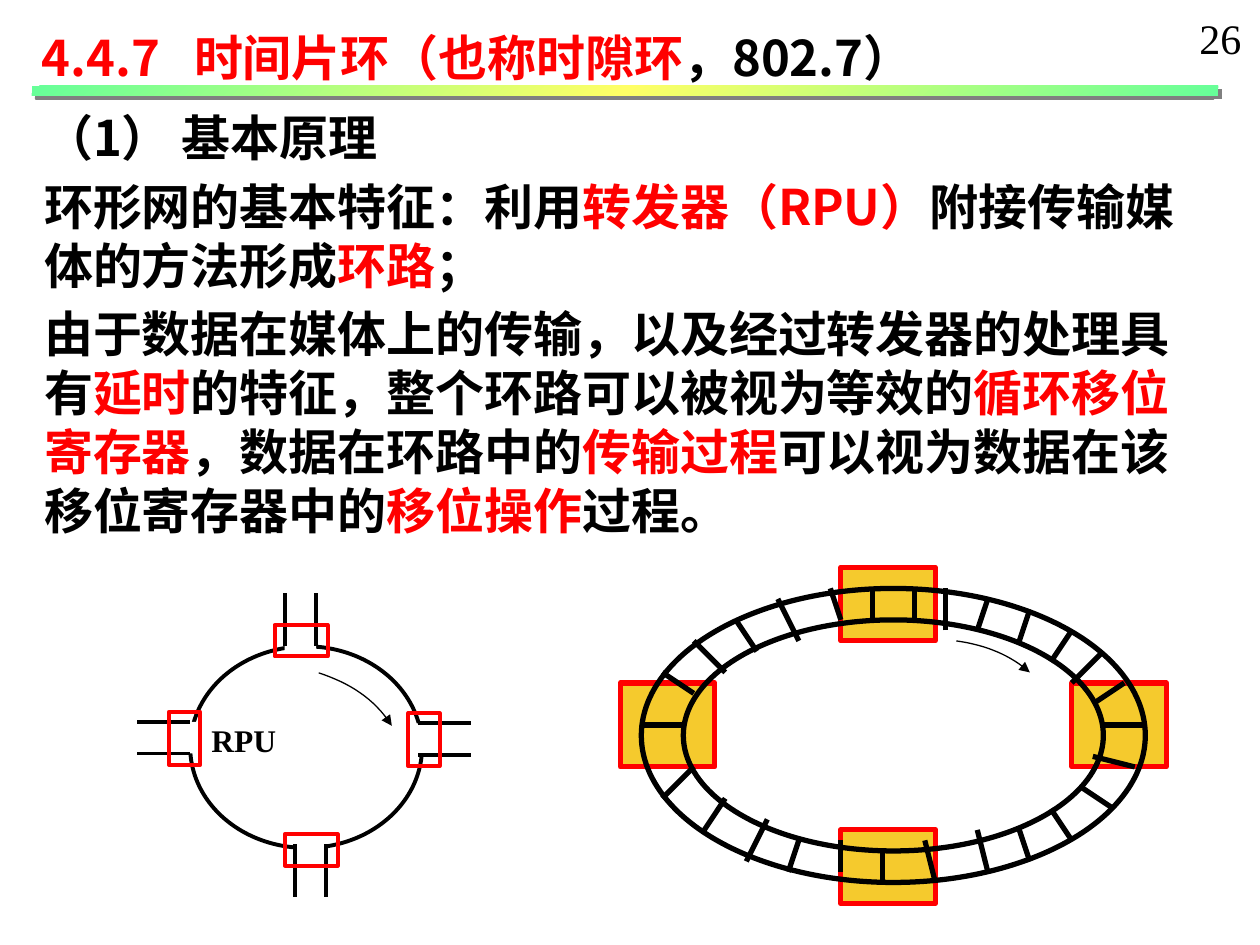
from lxml import etree
from pptx import Presentation
from pptx.dml.color import RGBColor
from pptx.enum.shapes import MSO_CONNECTOR, MSO_SHAPE
from pptx.enum.text import MSO_ANCHOR, MSO_AUTO_SIZE, PP_ALIGN
from pptx.oxml import parse_xml
from pptx.oxml.ns import nsdecls, qn
from pptx.util import Inches, Pt

RECT, OVAL = MSO_SHAPE.RECTANGLE, MSO_SHAPE.OVAL
STRAIGHT = MSO_CONNECTOR.STRAIGHT
TOP, LEFT = MSO_ANCHOR.TOP, PP_ALIGN.LEFT
NO_FIT, FIT_SHAPE = MSO_AUTO_SIZE.NONE, MSO_AUTO_SIZE.SHAPE_TO_FIT_TEXT

BLACK = RGBColor(0x00, 0x00, 0x00)
RED = RGBColor(0xFF, 0x00, 0x00)
WHITE = RGBColor(0xFF, 0xFF, 0xFF)
GOLD = RGBColor(0xF5, 0xCA, 0x2D)
GREEN = RGBColor(0x66, 0xFF, 0x99)
YELLOW = RGBColor(0xFF, 0xFF, 0x66)
GRAY = RGBColor(0x80, 0x80, 0x80)

HEADING_FONT = {"name": "Noto Sans CJK SC", "size": Pt(28), "bold": True}
LABEL_FONT = {"name": "Times New Roman", "size": Pt(18), "bold": True}
NUMBER_FONT = {"name": "Times New Roman", "size": Pt(24), "bold": False}
HEADING_FRAME = {"word_wrap": True, "auto_size": NO_FIT, "vertical_anchor": TOP,
                 "margin_left": Inches(0.1), "margin_right": Inches(0.1),
                 "margin_top": Inches(0.09), "margin_bottom": Inches(0)}
LABEL_FRAME = {"word_wrap": False, "auto_size": FIT_SHAPE}
HEADING_SPACING = {"alignment": LEFT, "line_spacing": Pt(33.7), "space_before": Pt(0)}

TITLE = [("4.4.7\t时间片环（也称时隙环", RED), ("，802.7）", BLACK)]
BODY = [
    [("（1） 基本原理", BLACK)],
    [("环形网的基本特征：利用", BLACK), ("转发器（RPU）", RED),
     ("附接传输媒体的方法形成", BLACK), ("环路", RED), ("；", BLACK)],
    [("由于数据在媒体上的传输，以及经过转发器的处理具有", BLACK), ("延时", RED),
     ("的特征，整个环路可以被视为等效的", BLACK), ("循环移位寄存器", RED),
     ("，数据在环路中的", BLACK), ("传输过程", RED),
     ("可以视为数据在该移位寄存器中的", BLACK), ("移位操作", RED), ("过程。", BLACK)],
]

# Slot ring, in grid steps of 1/12 inch
GRID = 1 / 12
RING_NODES = [(-2, 9, 9, 8), (41, 9, 9, 8), (19, 23, 9, 7), (19, -2, 9, 7)]
RING_OVALS = [(0, 0, 48, 28), (4, 3, 40, 22)]
SLOT_MARKS = [
    (22, 0, 22, 3), (26, 3, 26, 0), (29, 4, 29, 0), (32, 4, 33, 1), (36, 5, 37, 2),
    (39, 7, 41, 4), (44, 6, 41, 9), (46, 9, 43, 11), (44, 13, 48, 13), (43, 16, 47, 17),
    (42, 19, 45, 21), (39, 21, 41, 24), (36, 23, 37, 26), (32, 23, 33, 27),
    (27, 24, 28, 28), (23, 25, 23, 28), (19, 27, 19, 24), (14, 27, 15, 24),
    (12, 22, 10, 26), (8, 20, 6, 23), (5, 17, 2, 20), (0, 13, 4, 13), (2, 8, 5, 10),
    (5, 5, 8, 8), (9, 3, 11, 6), (13, 1, 15, 5), (18, 0, 19, 3),
]
SLOT_ARROW = [(30, 5), (32.9, 5.4), (35.2, 6.4), (37, 8)]

# Repeater ring, in inches: gap corner, start of leads, whether leads run across
GAP, LEAD, OVERHANG = 0.25, 0.42, 0.08
REPEATERS = [(0.25, 1.02, 0, True), (2.15, 1.03, 2.23, True),
             (1.25, 1.91, 1.99, False), (1.17, 0.25, 0, False)]
REPEATER_ARROW = [(1.44, 0.63), (1.68, 0.71), (1.88, 0.83), (2.02, 1.05)]


def apply(target, values):
    for key, value in values.items():
        setattr(target, key, value)


def write_runs(paragraph, runs, font):
    for text, color in runs:
        run = paragraph.add_run()
        run.text = text
        apply(run.font, font)
        run.font.color.rgb = color
        east_asian = etree.SubElement(run.font._element, qn("a:ea"))
        east_asian.set("typeface", font["name"])


def place(shape, box):
    apply(shape, dict(zip(("left", "top", "width", "height"), map(Inches, box))))


def set_line(shape, color, width):
    shape.line.color.rgb = color
    shape.line.width = Pt(width)


def add_block(shapes, kind, box, fill=None, line=None, width=3):
    block = shapes.add_shape(kind, *map(Inches, box))
    block.shadow.inherit = False
    if fill is None:
        block.fill.background()
    else:
        block.fill.solid()
        block.fill.fore_color.rgb = fill
    if line is None:
        block.line.fill.background()
    else:
        set_line(block, line, width)
    return block


def add_stroke(shapes, ends, width):
    stroke = shapes.add_connector(STRAIGHT, *map(Inches, ends))
    set_line(stroke, BLACK, width)
    etree.SubElement(stroke._element.spPr, qn("a:effectLst"))


def add_curved_arrow(shapes, controls, steps=16):
    def point(t):
        weights = ((1 - t) ** 3, 3 * t * (1 - t) ** 2, 3 * t * t * (1 - t), t ** 3)
        return tuple(Inches(sum(w * c[axis] for w, c in zip(weights, controls)))
                     for axis in (0, 1))

    points = [point(i / steps) for i in range(steps + 1)]
    builder = shapes.build_freeform(*points[0])
    builder.add_line_segments(points[1:], close=False)
    arrow = builder.convert_to_shape()
    arrow.shadow.inherit = False
    arrow.fill.background()
    set_line(arrow, BLACK, 0.75)
    etree.SubElement(arrow.line._get_or_add_ln(), qn("a:tailEnd")).set("type", "triangle")


def add_label(shapes, box, text, font):
    label = shapes.add_textbox(*map(Inches, box))
    apply(label.text_frame, LABEL_FRAME)
    write_runs(label.text_frame.paragraphs[0], [(text, BLACK)], font)


def fill_title(title, box):
    place(title, box)
    apply(title.text_frame, HEADING_FRAME)
    paragraph = title.text_frame.paragraphs[0]
    apply(paragraph, HEADING_SPACING)
    tabs = etree.SubElement(paragraph._p.get_or_add_pPr(), qn("a:tabLst"))
    tab = etree.SubElement(tabs, qn("a:tab"))
    tab.set("pos", str(Inches(1.21)))
    tab.set("algn", "l")
    write_runs(paragraph, TITLE, HEADING_FONT)


def fill_body(body, box):
    place(body, box)
    frame = body.text_frame
    apply(frame, HEADING_FRAME)
    for index, runs in enumerate(BODY):
        paragraph = frame.add_paragraph() if index else frame.paragraphs[0]
        apply(paragraph, HEADING_SPACING)
        if index:
            paragraph.space_before = Pt(5.6)
        properties = paragraph._p.get_or_add_pPr()
        properties.set("marL", "0")
        properties.set("indent", "0")
        etree.SubElement(properties, qn("a:buNone"))
        write_runs(paragraph, runs, HEADING_FONT)


def add_divider(shapes, box):
    bar = add_block(shapes, RECT, box, fill=GREEN)
    properties = bar._element.spPr
    stops = "".join(f'<a:gs pos="{pos}"><a:srgbClr val="{color}"/></a:gs>'
                    for pos, color in ((0, GREEN), (50000, YELLOW), (100000, GREEN)))
    gradient = parse_xml(f'<a:gradFill {nsdecls("a")} rotWithShape="1"><a:gsLst>{stops}'
                         '</a:gsLst><a:lin ang="2700000" scaled="1"/></a:gradFill>')
    properties.replace(properties.find(qn("a:solidFill")), gradient)
    properties.find(qn("a:effectLst")).append(parse_xml(
        f'<a:outerShdw {nsdecls("a")} dist="{Pt(2.8)}" dir="2700000" algn="ctr" '
        f'rotWithShape="0"><a:srgbClr val="{GRAY}"/></a:outerShdw>'))


def add_slot_ring(shapes, left, top):
    def scaled(values):
        return [origin + value * GRID
                for origin, value in zip((left, top, 0, 0), values)]

    for node in RING_NODES:
        add_block(shapes, RECT, scaled(node), GOLD, RED)
    for oval in RING_OVALS:
        add_block(shapes, OVAL, scaled(oval), line=BLACK)
    for x1, y1, x2, y2 in SLOT_MARKS:
        add_stroke(shapes, scaled((x1, y1)) + scaled((x2, y2)), 3)
    add_curved_arrow(shapes, [scaled(control) for control in SLOT_ARROW])


def add_repeater_ring(shapes, left, top):
    add_block(shapes, OVAL, (left + 0.42, top + 0.42, 1.84, 1.6), line=BLACK, width=2.25)
    for gap_x, gap_y, lead, across in REPEATERS:
        x, y = left + gap_x, top + gap_y
        add_block(shapes, RECT, (x, y, GAP, GAP), fill=WHITE)
        for offset in (0, GAP):
            if across:
                ends = (left + lead, y + offset, left + lead + LEAD, y + offset)
            else:
                ends = (x + offset, top + lead, x + offset, top + lead + LEAD)
            add_stroke(shapes, ends, 2.25)
        frame = ((x, y - OVERHANG, GAP, LEAD) if across
                 else (x - OVERHANG, y, LEAD, GAP))
        add_block(shapes, RECT, frame, line=RED, width=2.25)
    add_curved_arrow(shapes, [(left + x, top + y) for x, y in REPEATER_ARROW])
    add_label(shapes, (left + 0.49, top + 0.96, 0.72, 0.4), "RPU", LABEL_FONT)


def main():
    deck = Presentation()
    deck.slide_width, deck.slide_height = Inches(10), Inches(7.5)
    slide = deck.slides.add_slide(deck.slide_layouts[1])
    shapes = slide.shapes

    # Heading and text
    fill_title(shapes.title, (0.23, 0.13, 8.71, 0.57))
    fill_body(slide.placeholders[1], (0.25, 0.76, 9.5, 3.56))
    add_divider(shapes, (0.25, 0.68, 9.42, 0.08))
    add_label(shapes, (9.42, 0.05, 0.54, 0.5), "26", NUMBER_FONT)

    # Ring diagrams
    add_slot_ring(shapes.add_group_shape().shapes, 5.09, 4.67)
    add_repeater_ring(shapes.add_group_shape().shapes, 1.09, 4.71)

    deck.save("out.pptx")


if __name__ == "__main__":
    main()
